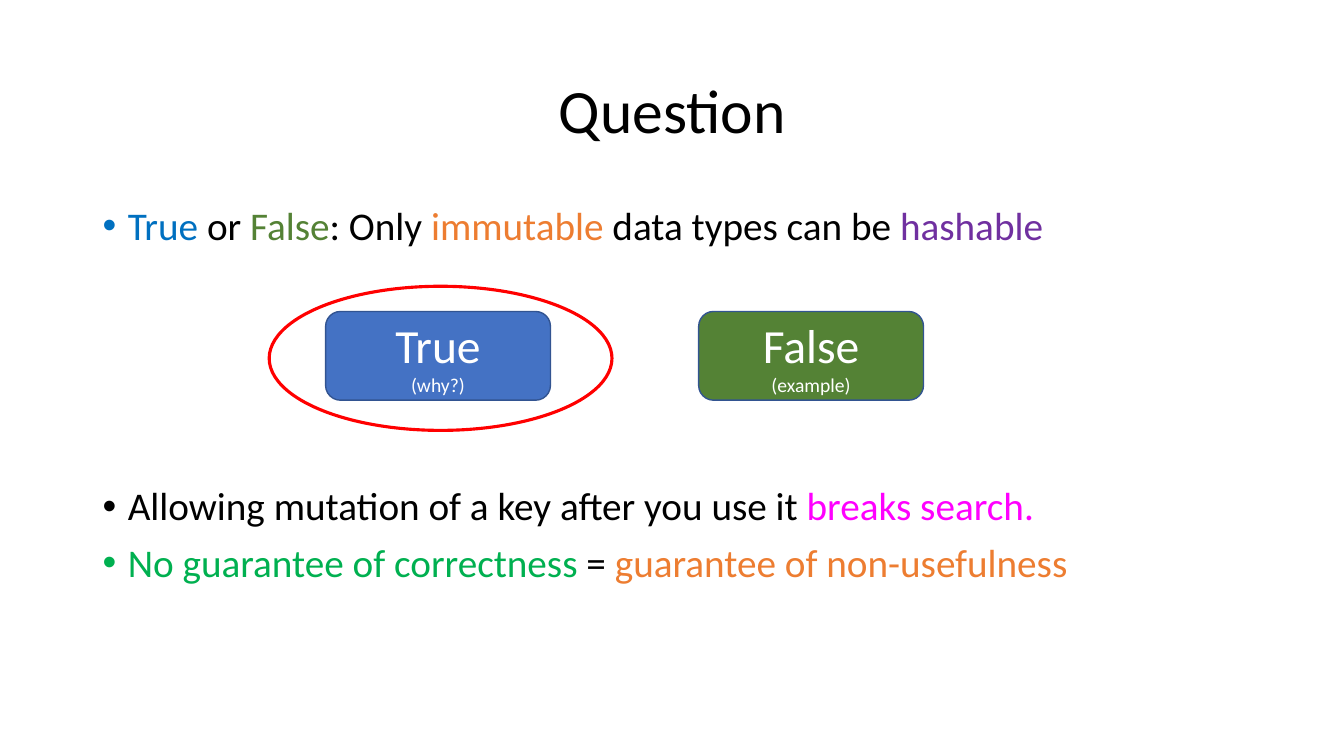
from dataclasses import dataclass

from lxml.etree import SubElement
from pptx import Presentation
from pptx.dml.color import RGBColor
from pptx.enum.shapes import MSO_SHAPE
from pptx.enum.text import MSO_ANCHOR, PP_ALIGN
from pptx.oxml.ns import qn
from pptx.util import Inches, Pt

BLACK = RGBColor(0x00, 0x00, 0x00)
WHITE = RGBColor(0xFF, 0xFF, 0xFF)
RED = RGBColor(0xFF, 0x00, 0x00)
SKY = RGBColor(0x00, 0x70, 0xC0)
BLUE = RGBColor(0x44, 0x72, 0xC4)
NAVY = RGBColor(0x32, 0x54, 0x91)
OLIVE = RGBColor(0x54, 0x82, 0x35)
GREEN = RGBColor(0x00, 0xB0, 0x50)
ORANGE = RGBColor(0xED, 0x7D, 0x31)
PURPLE = RGBColor(0x70, 0x30, 0xA0)
MAGENTA = RGBColor(0xFF, 0x00, 0xFF)

MARGIN, CONTENT_WIDTH = 0.92, 11.5
ANSWER_TOP, ANSWER_WIDTH, ANSWER_HEIGHT = 3.09, 2.23, 0.88


@dataclass
class Bullet:
    runs: list[tuple[str, RGBColor]]
    space_before: float = 10


@dataclass
class Answer:
    left: float
    label: str
    note: str
    fill: RGBColor


BULLETS = [
    Bullet([("True", SKY), (" or ", BLACK), ("False", OLIVE), (": Only ", BLACK),
            ("immutable", ORANGE), (" data types can be ", BLACK), ("hashable", PURPLE)]),
    # The wide space leaves room for the answers.
    Bullet([("Allowing mutation of a key after you use it", BLACK),
            (" breaks search.", MAGENTA)], space_before=170),
    Bullet([("No guarantee of correctness", GREEN), (" = ", BLACK),
            ("guarantee of non-usefulness", ORANGE)]),
]

ANSWERS = [
    Answer(3.23, "True", "(why?)", BLUE),
    Answer(6.93, "False", "(example)", OLIVE),
]


def add_text(p, text: str, *, size: float, color: RGBColor) -> None:
    r = p.add_run()
    r.text = text
    r.font.name = "Calibri"
    r.font.size = Pt(size)
    r.font.color.rgb = color


def format_title(title) -> None:
    title.left, title.top = Inches(MARGIN), Inches(0.4)
    title.width, title.height = Inches(CONTENT_WIDTH), Inches(1.45)
    tf = title.text_frame
    tf.vertical_anchor = MSO_ANCHOR.MIDDLE
    p = tf.paragraphs[0]
    p.alignment = PP_ALIGN.CENTER
    p.line_spacing = 0.9
    add_text(p, "Question", size=44, color=BLACK)


def add_bullets(slide, bullets: list[Bullet]) -> None:
    box = slide.shapes.add_textbox(
        Inches(MARGIN), Inches(2), Inches(CONTENT_WIDTH), Inches(4.76))
    tf = box.text_frame
    tf.word_wrap = True
    for i, bullet in enumerate(bullets):
        p = tf.add_paragraph() if i else tf.paragraphs[0]
        p.line_spacing = 0.9
        p.space_before = Pt(bullet.space_before)
        pPr = p._p.get_or_add_pPr()
        pPr.set("marL", str(Inches(0.25)))
        pPr.set("indent", str(Inches(-0.25)))
        SubElement(pPr, qn("a:buFont"), typeface="Arial")
        SubElement(pPr, qn("a:buChar"), char="•")
        for text, color in bullet.runs:
            add_text(p, text, size=28, color=color)


def add_answer(slide, answer: Answer) -> None:
    sp = slide.shapes.add_shape(
        MSO_SHAPE.ROUNDED_RECTANGLE, Inches(answer.left), Inches(ANSWER_TOP),
        Inches(ANSWER_WIDTH), Inches(ANSWER_HEIGHT))
    sp.shadow.inherit = False
    sp.fill.solid()
    sp.fill.fore_color.rgb = answer.fill
    sp.line.color.rgb = NAVY
    sp.line.width = Pt(1)
    tf = sp.text_frame
    tf.word_wrap = True
    tf.vertical_anchor = MSO_ANCHOR.MIDDLE
    p = tf.paragraphs[0]
    p.alignment = PP_ALIGN.CENTER
    add_text(p, answer.label, size=34, color=WHITE)
    p.add_line_break()
    add_text(p, answer.note, size=14, color=WHITE)


def add_answer_ring(slide) -> None:
    ring = slide.shapes.add_shape(
        MSO_SHAPE.OVAL, Inches(2.67), Inches(2.84), Inches(3.4), Inches(1.43))
    ring.shadow.inherit = False
    ring.fill.background()
    ring.line.color.rgb = RED
    ring.line.width = Pt(2.25)


def main() -> None:
    prs = Presentation()
    prs.slide_width, prs.slide_height = Inches(13.33), Inches(7.5)
    slide = prs.slides.add_slide(prs.slide_layouts[5])
    format_title(slide.shapes.title)
    add_bullets(slide, BULLETS)
    for answer in ANSWERS:
        add_answer(slide, answer)
    add_answer_ring(slide)
    prs.save("out.pptx")


if __name__ == "__main__":
    main()
